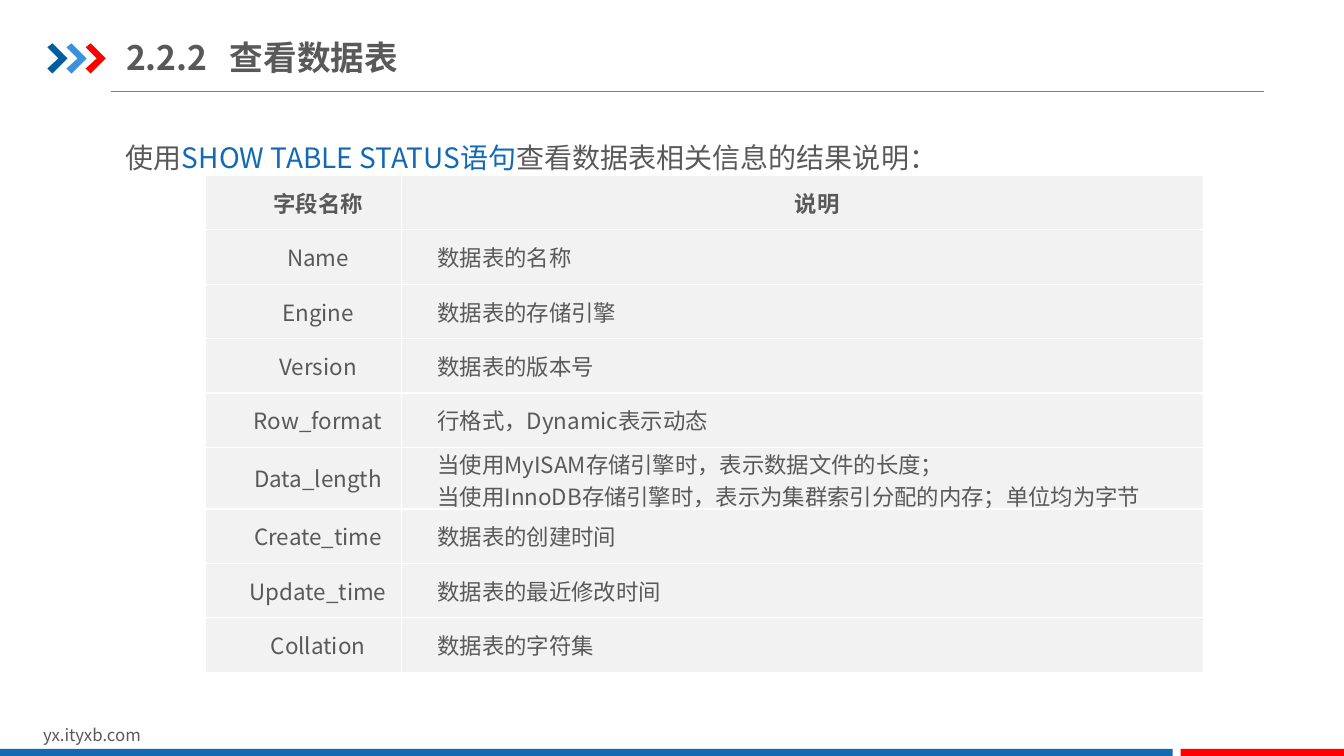
"""Builds the slide on viewing a data table's status."""
from lxml import etree
from pptx import Presentation
from pptx import util as u
from pptx.dml import color
from pptx.enum import shapes, text
from pptx.oxml import ns

FONT = "Noto Sans CJK SC"
GREY, BLUE, RED, WHITE = "595959", "1369B2", "FF0000", "FFFFFF"

FIELDS = [
    ("字段名称", ["说明"]),
    ("Name", ["数据表的名称"]),
    ("Engine", ["数据表的存储引擎"]),
    ("Version", ["数据表的版本号"]),
    ("Row_format", ["行格式，Dynamic表示动态"]),
    ("Data_length", ["当使用MyISAM存储引擎时，表示数据文件的长度；",
                     "当使用InnoDB存储引擎时，表示为集群索引分配的内存；单位均为字节"]),
    ("Create_time", ["数据表的创建时间"]),
    ("Update_time", ["数据表的最近修改时间"]),
    ("Collation", ["数据表的字符集"]),
]


def rgb(code):
    """Turn a hex string into a colour."""
    return color.RGBColor.from_string(code)


def paint(target, code):
    """Give a shape or cell a solid fill."""
    target.fill.solid()
    target.fill.fore_color.rgb = rgb(code)


def add_run(paragraph, words, size, code=GREY, bold=False):
    """Add one formatted run with its Latin and East Asian fonts."""
    run = paragraph.add_run()
    run.text = words
    run.font.size = u.Pt(size)
    run.font.bold = bold
    run.font.name = FONT
    run.font.color.rgb = rgb(code)
    etree.SubElement(run.font._element, ns.qn("a:ea"), typeface=FONT)


def add_bar(slide, left, width, code):
    """Add one coloured bar along the bottom edge."""
    bar = slide.shapes.add_shape(shapes.MSO_SHAPE.RECTANGLE, u.Inches(left),
                                 u.Inches(7.43), u.Inches(width), u.Inches(0.09))
    paint(bar, code)
    bar.line.fill.background()
    bar.shadow.inherit = False


def add_chevron(slide, left, code):
    """Add one chevron of the heading mark."""
    outline = [(0, 0.04), (0.05, 0), (0.2, 0.15), (0.05, 0.3), (0, 0.25), (0.11, 0.15)]
    points = [(u.Inches(left + x), u.Inches(0.43 + y)) for x, y in outline]
    builder = slide.shapes.build_freeform(*points[0])
    builder.add_line_segments(points[1:], close=True)
    chevron = builder.convert_to_shape()
    paint(chevron, code)
    chevron.line.fill.background()
    chevron.shadow.inherit = False


def add_rule(slide):
    """Add the thin line below the heading."""
    rule = slide.shapes.add_connector(shapes.MSO_CONNECTOR.STRAIGHT, u.Inches(1.1),
                                      u.Inches(0.91), u.Inches(12.54), u.Inches(0.91))
    rule.line.color.rgb = rgb("808080")
    rule.line.width = u.Pt(0.75)
    etree.SubElement(rule._element.spPr, ns.qn("a:effectLst"))


def add_heading(slide):
    """Place the section number and title in the title placeholder."""
    title = slide.shapes.title
    title.left, title.top = u.Inches(1.25), u.Inches(0.29)
    title.width, title.height = u.Inches(4.26), u.Inches(0.55)
    frame = title.text_frame
    frame.auto_size = text.MSO_AUTO_SIZE.NONE
    frame.vertical_anchor = text.MSO_ANCHOR.MIDDLE
    frame.margin_left = frame.margin_right = 0
    frame.margin_top = frame.margin_bottom = u.Inches(0.07)
    paragraph = frame.paragraphs[0]
    paragraph.alignment = text.PP_ALIGN.LEFT
    stops = etree.SubElement(paragraph._p.get_or_add_pPr(), ns.qn("a:tabLst"))
    etree.SubElement(stops, ns.qn("a:tab"), pos=str(u.Inches(1.03)), algn="l")
    add_run(paragraph, "2.2.2\t查看数据表", 24, bold=True)


def add_text(slide, left, top, width, height, size, runs, spacing=None):
    """Add a one-paragraph text box from (words, colour) runs."""
    box = slide.shapes.add_textbox(u.Inches(left), u.Inches(top),
                                   u.Inches(width), u.Inches(height))
    box.text_frame.word_wrap = True
    paragraph = box.text_frame.paragraphs[0]
    paragraph.line_spacing = spacing
    for words, code in runs:
        add_run(paragraph, words, size, code)


def add_borders(cell):
    """Draw thin white lines on all four sides of a cell."""
    properties = cell._tc.get_or_add_tcPr()
    for side in ("lnL", "lnR", "lnT", "lnB"):
        border = etree.SubElement(properties, ns.qn(f"a:{side}"), w=str(u.Pt(1)))
        fill = etree.SubElement(border, ns.qn("a:solidFill"))
        etree.SubElement(fill, ns.qn("a:srgbClr"), val=WHITE)


def fill_cell(cell, lines, centred, bold):
    """Format one table cell and write its lines."""
    add_borders(cell)
    paint(cell, "F2F2F2")
    cell.vertical_anchor = text.MSO_ANCHOR.MIDDLE
    cell.margin_left = cell.margin_right = u.Inches(0.07)
    cell.margin_top = cell.margin_bottom = 0
    for index, words in enumerate(lines):
        frame = cell.text_frame
        paragraph = frame.add_paragraph() if index else frame.paragraphs[0]
        paragraph.alignment = text.PP_ALIGN.CENTER if centred else text.PP_ALIGN.LEFT
        indent = paragraph._p.get_or_add_pPr()
        indent.set("marL", "0")
        indent.set("indent", str(u.Inches(0.29)))
        add_run(paragraph, words, 16, bold=bold)


def add_fields(slide):
    """Add the table of status fields and their meanings."""
    frame = slide.shapes.add_table(len(FIELDS), 2, u.Inches(2.04), u.Inches(1.74),
                                   u.Inches(9.9), u.Inches(4.93))
    table = frame.table
    table.first_row = table.horz_banding = False
    for column, width in zip(table.columns, (1.94, 7.96)):
        column.width = u.Inches(width)
    for row, (field, meaning) in enumerate(FIELDS):
        header = row == 0
        table.rows[row].height = u.Inches(0.61 if len(meaning) > 1 else 0.54)
        fill_cell(table.cell(row, 0), [field], True, header)
        fill_cell(table.cell(row, 1), meaning, header, header)


def main():
    """Build and save the slide."""
    deck = Presentation()
    deck.slide_width, deck.slide_height = u.Inches(13.33), u.Inches(7.5)
    slide = deck.slides.add_slide(deck.slide_layouts[5])
    add_rule(slide)
    for index, code in enumerate(("005DA2", "3992DB", RED)):
        add_chevron(slide, 0.47 + 0.19 * index, code)
    add_text(slide, 0.33, 7.14, 3.18, 0.3, 12, [("yx.ityxb.com", GREY)])
    add_bar(slide, 0, 11.63, BLUE)
    add_bar(slide, 11.71, 1.63, RED)
    add_heading(slide)
    add_text(slide, 1.15, 1.18, 11.1, 0.55, 20,
             [("使用", GREY), ("SHOW TABLE STATUS语句", "1369B3"),
              ("查看数据表相关信息的结果说明：", GREY)], spacing=1.5)
    add_fields(slide)
    deck.save("out.pptx")


if __name__ == "__main__":
    main()
